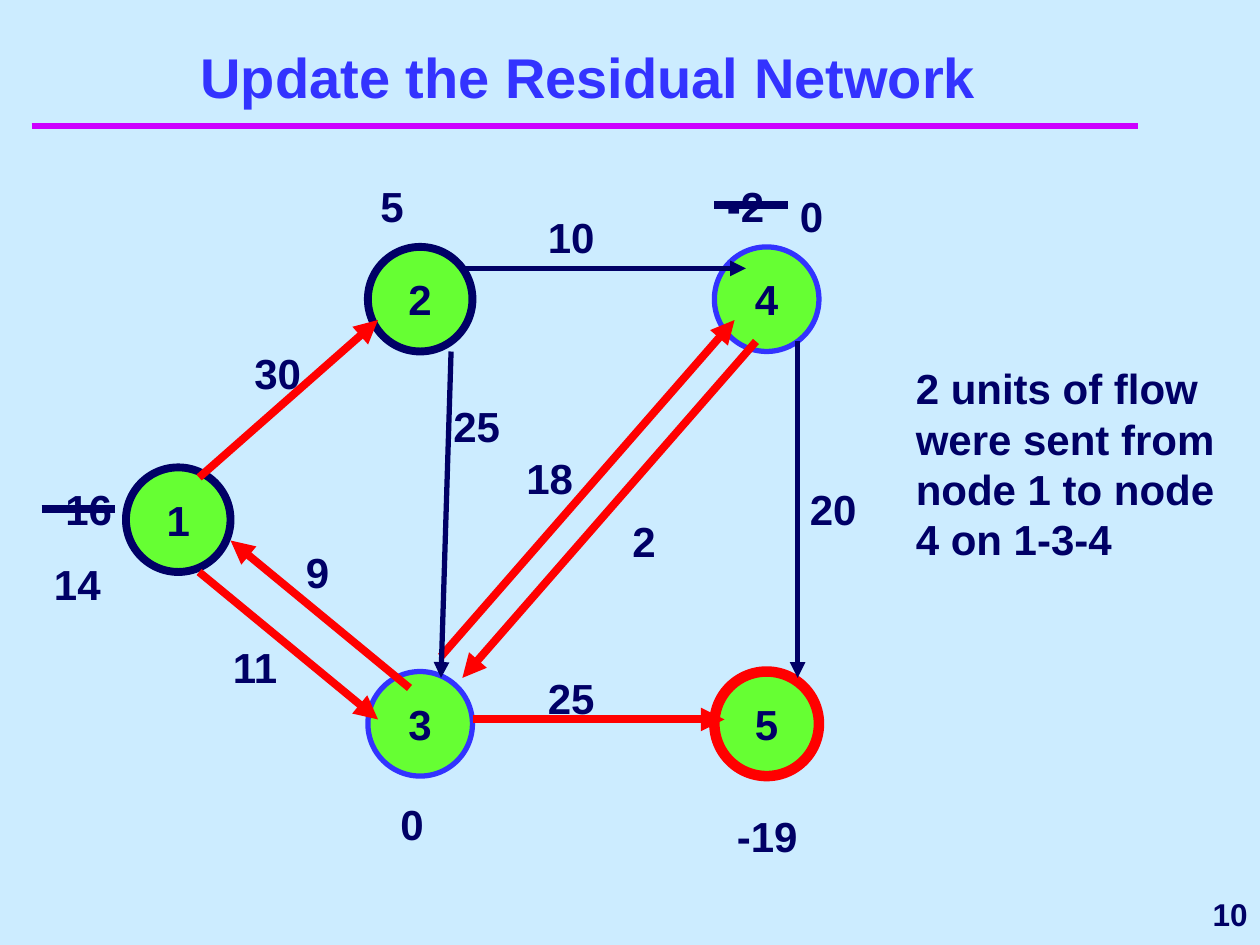
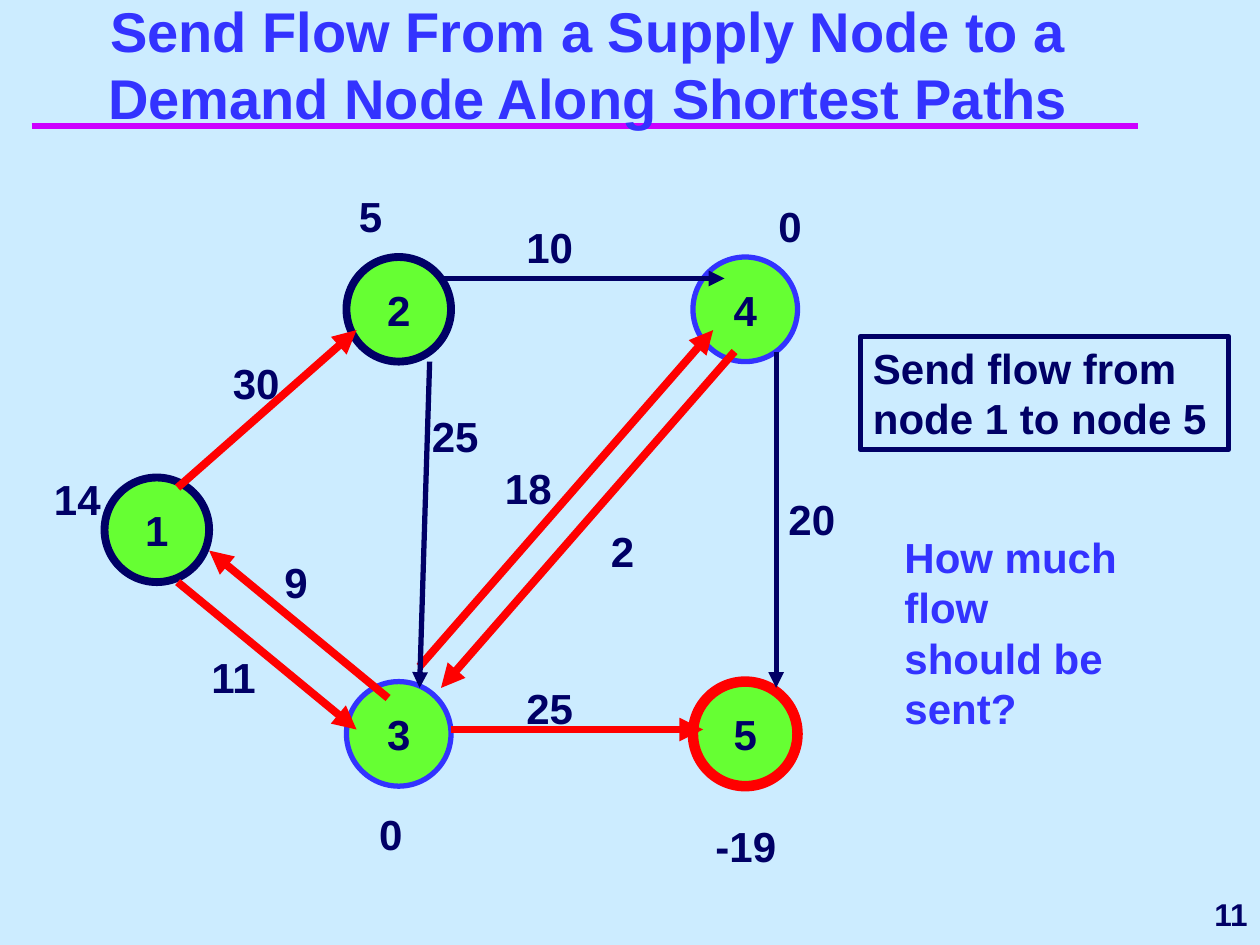
from lxml import etree
from pptx import Presentation
from pptx.dml.color import RGBColor
from pptx.enum.shapes import MSO_CONNECTOR, MSO_SHAPE
from pptx.enum.text import MSO_ANCHOR, MSO_AUTO_SIZE, PP_ALIGN
from pptx.oxml.ns import qn
from pptx.util import Inches, Pt

SKY, NAVY, BLUE = "CCECFF", "000066", "3333FF"
RED, GREEN, MAGENTA = "FF0000", "66FF33", "CC00FF"
FONT = "Arial"
NODE_SIZE = 0.83

NODES = [
    ("1", 0, 1.75, NAVY, 4.5),
    ("2", 1.92, 0, NAVY, 4.5),
    ("3", 1.92, 3.37, BLUE, 3),
    ("5", 4.67, 3.37, RED, 6),
    ("4", 4.67, 0, BLUE, 3),
]
ARCS = [
    ((0.58, 1.83), (2, 0.58), RED),
    ((2.67, 0.17), (4.92, 0.17), NAVY),
    ((5.33, 0.75), (5.33, 3.42), NAVY),
    ((2.5, 3.25), (4.83, 0.58), RED),
    ((0.58, 2.58), (2, 3.75), RED),
    ((2.75, 3.75), (4.75, 3.75), RED),
    ((2.58, 0.83), (2.5, 3.42), NAVY),
    ((2.25, 3.5), (0.83, 2.33), RED),
    ((5, 0.75), (2.67, 3.42), RED),
]
ARC_WIDTHS = {RED: 4.5, NAVY: 3}
CAPACITIES = [
    ("10", 3.25, -0.33, 1.17),
    ("20", 5.33, 1.83, 1.17),
    ("18", 3.08, 1.58, 1.17),
    ("25", 3.25, 3.33, 1.17),
    ("25", 2.5, 1.17, 1.17),
    ("11", 0.75, 3.08, 0.67),
    ("30", 0.92, 0.75, 1.17),
    ("9", 1.33, 2.33, 0.67),
    ("2", 3.92, 2.08, 1.17),
]
BALANCES = [
    ("5", 1.92, -0.58, 0.75),
    ("-19", 4.75, 4.42, 0.75),
    ("0", 2.08, 4.33, 0.75),
]


def rgb(value):
    return RGBColor.from_string(value)


def write(sp, text, color=NAVY, size=24, align=PP_ALIGN.LEFT,
          anchor=MSO_ANCHOR.TOP, wrap=True):
    tf = sp.text_frame
    tf.text = text
    tf.word_wrap = wrap
    tf.auto_size = MSO_AUTO_SIZE.NONE
    tf.vertical_anchor = anchor
    p = tf.paragraphs[0]
    p.alignment = align
    font = p.runs[0].font
    font.name, font.size, font.bold = FONT, Pt(size), True
    font.color.rgb = rgb(color)


def add_label(slide, text, left, top, width=0.75, height=0.5, **style):
    sp = slide.shapes.add_textbox(*map(Inches, (left, top, width, height)))
    write(sp, text, **style)


def add_outlined(slide, kind, box, line_color, line_width, fill=None):
    sp = slide.shapes.add_shape(kind, *map(Inches, box))
    sp.shadow.inherit = False
    if fill:
        sp.fill.solid()
        sp.fill.fore_color.rgb = rgb(fill)
    else:
        sp.fill.background()
    sp.line.color.rgb = rgb(line_color)
    sp.line.width = Pt(line_width)
    return sp


def add_line(slide, start, end, color, width, arrow=False):
    line = slide.shapes.add_connector(
        MSO_CONNECTOR.STRAIGHT, *map(Inches, (*start, *end)))
    line.line.color.rgb = rgb(color)
    line.line.width = Pt(width)
    sp_pr = line._element.spPr
    if arrow:
        etree.SubElement(sp_pr.find(qn("a:ln")), qn("a:tailEnd"), type="triangle")
    etree.SubElement(sp_pr, qn("a:effectLst"))
    return line


def add_frame(prs, title, title_top, number):
    slide = prs.slides.add_slide(prs.slide_layouts[5])
    rule = add_line(slide, (0.25, 1), (9.03, 1), MAGENTA, 4)
    heading = slide.shapes.title
    heading._element.addprevious(rule._element)
    heading.left, heading.top, heading.width, heading.height = map(
        Inches, (0.42, title_top, 8.5, 0.42))
    write(heading, title, BLUE, 32, PP_ALIGN.CENTER, MSO_ANCHOR.BOTTOM)
    add_label(slide, number, 8.08, 7, 1.92, size=18,
              align=PP_ALIGN.RIGHT, anchor=MSO_ANCHOR.MIDDLE)
    return slide


def add_network(slide, left, top):
    for name, x, y, color, width in NODES:
        box = (left + x, top + y, NODE_SIZE, NODE_SIZE)
        sp = add_outlined(slide, MSO_SHAPE.OVAL, box, color, width, GREEN)
        write(sp, name, align=PP_ALIGN.CENTER, anchor=MSO_ANCHOR.MIDDLE, wrap=False)
    for (x1, y1), (x2, y2), color in ARCS:
        add_line(slide, (left + x1, top + y1), (left + x2, top + y2),
                 color, ARC_WIDTHS[color], arrow=True)
    for text, x, y, width in CAPACITIES + BALANCES:
        add_label(slide, text, left + x, top + y, width)


def add_strike(slide, left, top):
    add_line(slide, (left, top), (left + 0.58, top), NAVY, 4.5)


def add_update_slide(prs):
    slide = add_frame(prs, "Update the Residual Network", 0.5, "10")
    add_network(slide, 1, 1.96)
    add_label(slide, "-2", 5.67, 1.38)
    add_label(slide, "0", 6.25, 1.46)
    add_label(slide, "16", 0.42, 3.79)
    add_label(slide, "14", 0.33, 4.38)
    add_strike(slide, 5.67, 1.63)
    add_strike(slide, 0.33, 4.04)
    add_label(slide, "2 units of flow were sent from node 1 to node 4 on 1-3-4",
              7.17, 2.83, 2.83, 1.7)


def add_send_slide(prs):
    slide = add_frame(
        prs, "Send Flow From a Supply Node to a Demand Node Along Shortest Paths",
        0.67, "11")
    add_network(slide, 0.83, 2.04)
    add_label(slide, "14", 0.33, 3.71)
    add_label(slide, "0", 6.08, 1.54)
    callout = add_outlined(slide, MSO_SHAPE.RECTANGLE, (6.83, 2.67, 2.92, 0.9), NAVY, 3)
    write(callout, "Send flow from node 1 to node 5")
    add_label(slide, "How much flow should be sent?", 7.08, 4.17, 1.92, 1.7, color=BLUE)


def main():
    prs = Presentation()
    prs.slide_width, prs.slide_height = Inches(10), Inches(7.5)
    background = prs.slide_master.background.fill
    background.solid()
    background.fore_color.rgb = rgb(SKY)
    add_update_slide(prs)
    add_send_slide(prs)
    prs.save("out.pptx")


if __name__ == "__main__":
    main()
